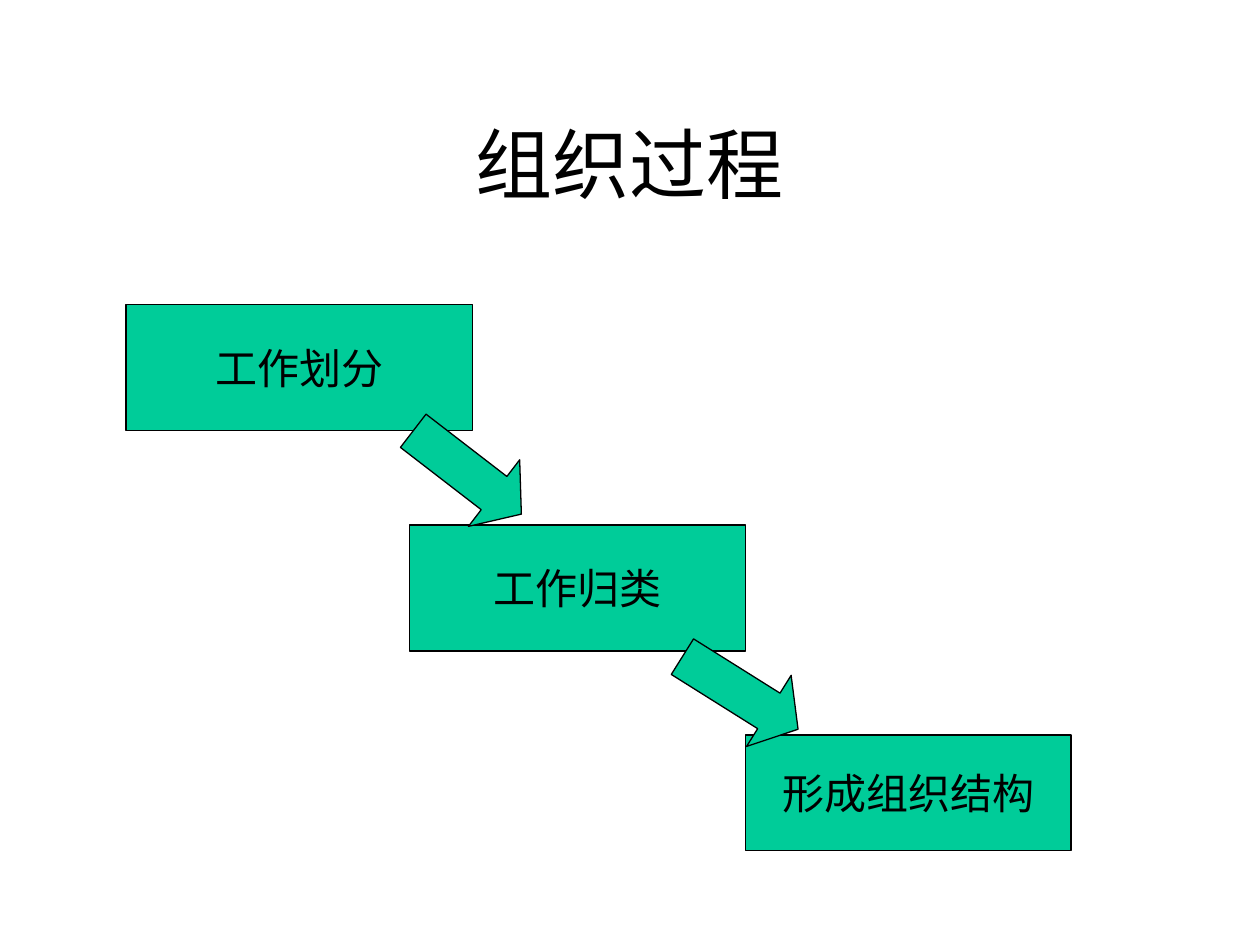
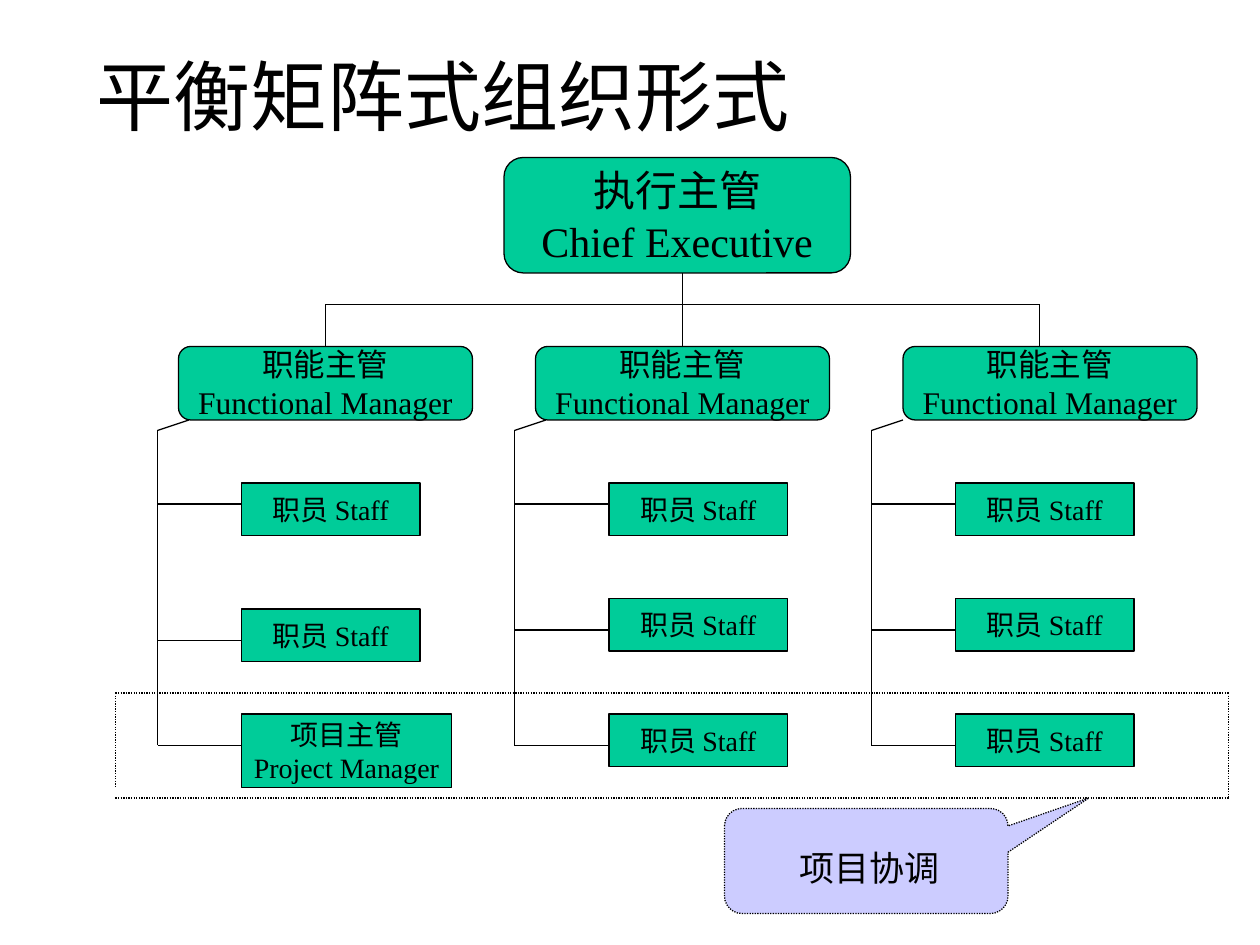
from lxml.etree import SubElement
from pptx import Presentation
from pptx.dml.color import RGBColor
from pptx.enum.dml import MSO_LINE
from pptx.enum.shapes import MSO_CONNECTOR, MSO_SHAPE
from pptx.enum.text import MSO_ANCHOR, MSO_AUTO_SIZE, PP_ALIGN
from pptx.oxml.ns import qn
from pptx.util import Pt

INK, GREEN, LILAC = "000000", "00CC99", "CCCCFF"
FONT = "Times New Roman"
OUTLINE = Pt(0.75)
TITLE_FRAME = {
    "word_wrap": True,
    "auto_size": MSO_AUTO_SIZE.NONE,
    "vertical_anchor": MSO_ANCHOR.MIDDLE,
}
BOX_FRAME = {**TITLE_FRAME, "word_wrap": False}
LABEL_FRAME = {"word_wrap": False, "vertical_anchor": MSO_ANCHOR.TOP}
STAFF = "职员 Staff"
MANAGER = "职能主管\nFunctional Manager"


def color(hex_string):
    """Turn a hex string into a colour."""
    return RGBColor.from_string(hex_string)


def apply_format(target, values):
    """Set every attribute of a format dict on the target."""
    for attribute, value in values.items():
        setattr(target, attribute, value)


def write(frame, wording, size, align, frame_format):
    """Fill a text frame, one paragraph for each line of wording."""
    apply_format(frame, frame_format)
    frame.text = wording
    for paragraph in frame.paragraphs:
        paragraph.alignment = align
        apply_format(paragraph.font, {"name": FONT, "size": Pt(size)})
        paragraph.font.color.rgb = color(INK)


def add_titled_slide(deck, wording, place, align):
    """Add a slide whose title placeholder is moved and formatted."""
    slide = deck.slides.add_slide(deck.slide_layouts[5])
    heading = slide.shapes.title
    apply_format(heading, dict(zip(("left", "top", "width", "height"), map(Pt, place))))
    write(heading.text_frame, wording, 44, align, TITLE_FRAME)
    return slide


def add_figure(slide, kind, place, fill=GREEN, adjustments=()):
    """Add a filled preset shape with a thin outline."""
    figure = slide.shapes.add_shape(kind, *map(Pt, place))
    figure.shadow.inherit = False
    figure.fill.solid()
    figure.fill.fore_color.rgb = color(fill)
    figure.line.color.rgb = color(INK)
    figure.line.width = OUTLINE
    for index, adjustment in enumerate(adjustments):
        figure.adjustments[index] = adjustment
    return figure


def add_box(slide, wording, place, size, kind=MSO_SHAPE.RECTANGLE):
    """Add a green box with centred wording."""
    box = add_figure(slide, kind, place)
    write(box.text_frame, wording, size, PP_ALIGN.CENTER, BOX_FRAME)


def add_line(slide, start, end, dash=None):
    """Add a thin straight line between two points."""
    line = slide.shapes.add_connector(MSO_CONNECTOR.STRAIGHT, *map(Pt, start + end))
    line.line.color.rgb = color(INK)
    apply_format(line.line, {"width": OUTLINE, "dash_style": dash})
    SubElement(line._element.spPr, qn("a:effectLst"))


def add_department(slide, spine, manager_left, staff_left, rows):
    """Add a manager, the spine below and a branch to each subordinate."""
    add_box(slide, MANAGER, (manager_left, 198, 168, 42), 18, MSO_SHAPE.ROUNDED_RECTANGLE)
    add_line(slide, (spine + 18, 240), (spine, 246))
    add_line(slide, (spine, 246), (spine, 426))
    for wording, top, width, height, branch in rows:
        add_box(slide, wording, (staff_left, top, width, height), 16)
        add_line(slide, (spine, branch), (staff_left, branch))


def build_process(deck):
    """Build the slide with the steps of organising."""
    slide = add_titled_slide(deck, "组织过程", (54, 48, 612, 90), PP_ALIGN.CENTER)
    for step, place in (
        ("工作划分", (72, 174, 198, 72)),
        ("工作归类", (234, 300, 192, 72)),
        ("形成组织结构", (426, 420, 186, 66)),
    ):
        add_box(slide, step, place, 24)
    for left, top, tilt in ((228, 246, 37.6), (384, 372, 32.1)):
        arrow = add_figure(slide, MSO_SHAPE.RIGHT_ARROW, (left, top, 78, 48),
                           adjustments=(0.5, 0.41))
        arrow.rotation = tilt


def build_matrix(deck):
    """Build the slide with the balanced matrix organisation."""
    slide = add_titled_slide(deck, "平衡矩阵式组织形式", (48, 18, 612, 72), PP_ALIGN.LEFT)
    add_box(slide, "执行主管\nChief Executive", (288, 90, 198, 66), 24,
            MSO_SHAPE.ROUNDED_RECTANGLE)
    add_line(slide, (186, 174), (594, 174))
    for drop, top in ((186, 174), (390, 156), (594, 174)):
        add_line(slide, (drop, top), (drop, 198))

    first_staff = (STAFF, 276, 102, 30, 288)
    staff_rows = (first_staff, (STAFF, 342, 102, 30, 360), (STAFF, 408, 102, 30, 426))
    project_rows = (first_staff, (STAFF, 348, 102, 30, 366),
                    ("项目主管\nProject Manager", 408, 120, 42, 426))
    add_department(slide, 90, 102, 138, project_rows)
    add_department(slide, 294, 306, 348, staff_rows)
    add_department(slide, 498, 516, 546, staff_rows)

    for start, end in (
        ((66, 456), (702, 456)),
        ((66, 396), (702, 396)),
        ((66, 396), (66, 450)),
        ((702, 396), (702, 456)),
    ):
        add_line(slide, start, end, MSO_LINE.ROUND_DOT)
    callout = add_figure(slide, MSO_SHAPE.ROUNDED_RECTANGULAR_CALLOUT,
                         (414, 462, 162, 60), LILAC, (0.785, -0.6, 0.167))
    callout.line.dash_style = MSO_LINE.ROUND_DOT
    coordination = slide.shapes.add_textbox(*map(Pt, (450, 480, 94.4, 31.6)))
    write(coordination.text_frame, "项目协调", 20, PP_ALIGN.LEFT, LABEL_FRAME)


def main():
    """Build and save the deck."""
    deck = Presentation()
    apply_format(deck, {"slide_width": Pt(720), "slide_height": Pt(540)})
    build_process(deck)
    build_matrix(deck)
    deck.save("out.pptx")


if __name__ == "__main__":
    main()
